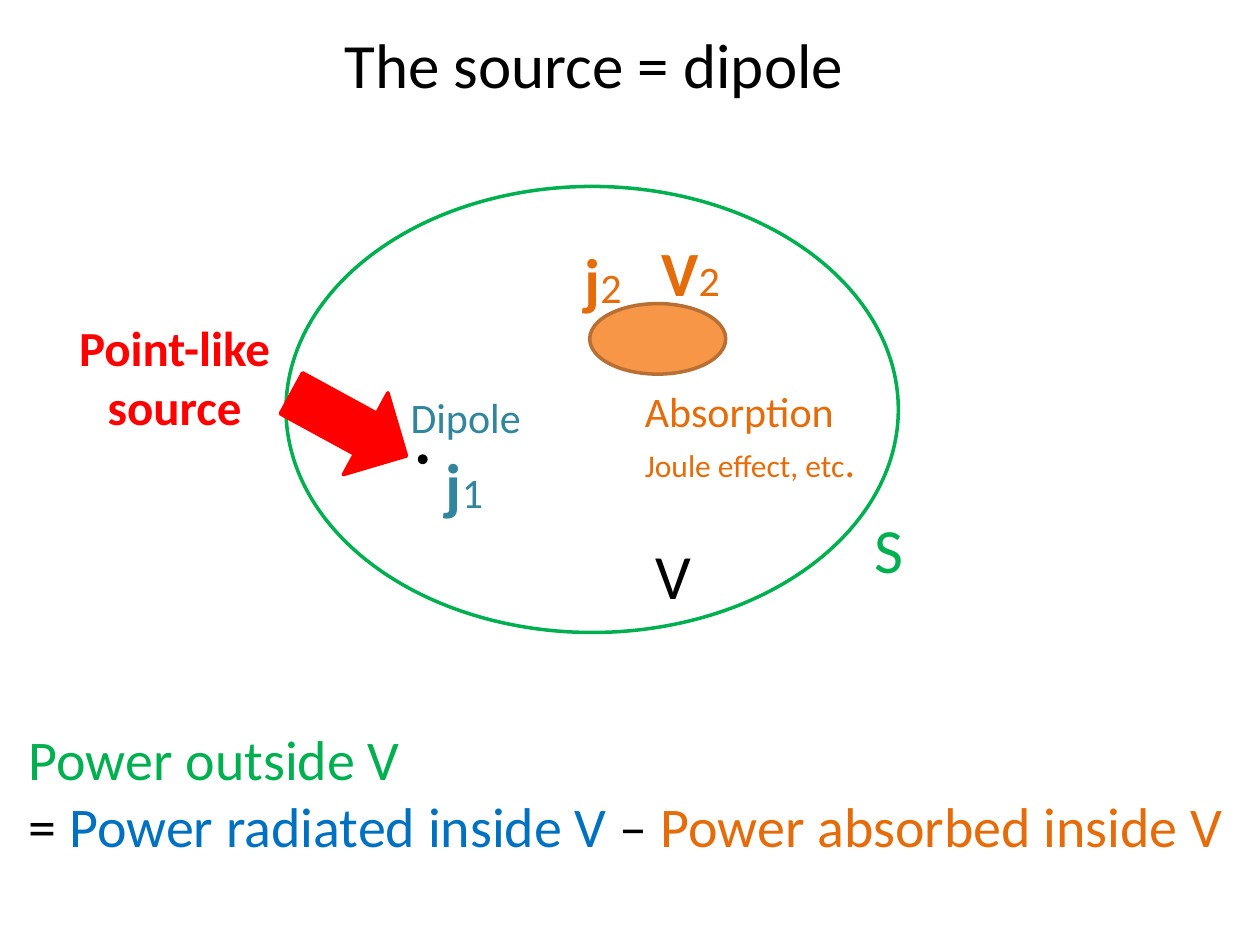
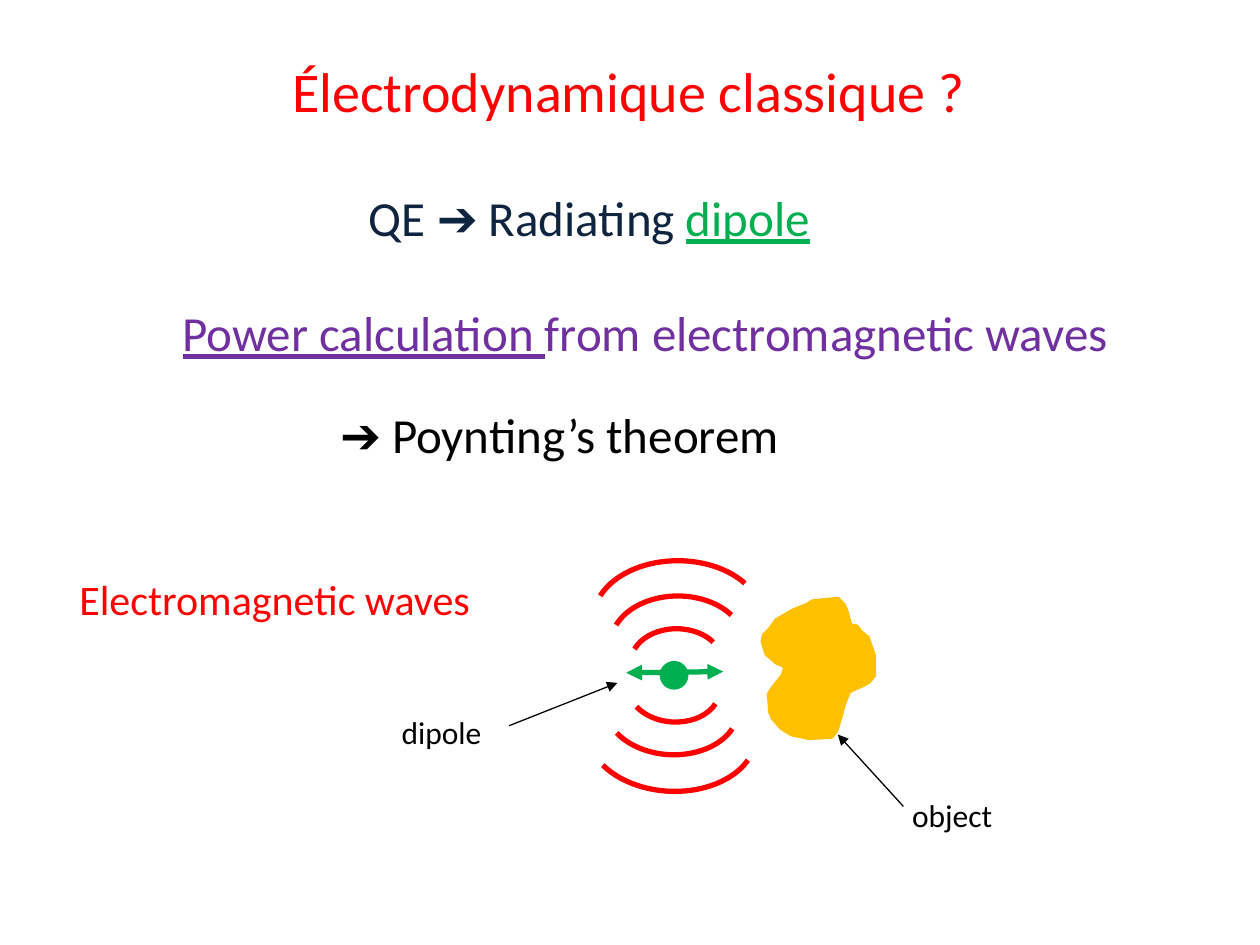
"""Build two slides on dipole sources and the power they radiate."""
import pptx
import pptx.util
import pptx.dml.color
import pptx.enum.shapes
import pptx.enum.text
import pptx.oxml

PX = 9144
FONT = "Calibri"
INK = {
    "black": "000000", "red": "FF0000", "green": "00B050", "blue": "0070C0",
    "orange": "E46C0A", "peach": "F79646", "brown": "B76F34", "teal": "31859C",
    "navy": "0F243E", "violet": "7030A0", "gold": "FFC000",
}
KIND = pptx.enum.shapes.MSO_SHAPE
ALIGN = pptx.enum.text.PP_ALIGN
Pt = pptx.util.Pt
rgb = pptx.dml.color.RGBColor.from_string


def write(slide, box, lines, align=ALIGN.LEFT, wrap=True, title=False):
    """Fill a text box or the title with lines of (text, size, colour, style) runs."""
    left, top, width, height = [n * PX for n in box]
    if title:
        shape = slide.shapes.title
        shape.left, shape.top, shape.width, shape.height = left, top, width, height
    else:
        shape = slide.shapes.add_textbox(left, top, width, height)
    frame = shape.text_frame
    frame.word_wrap = wrap
    frame.auto_size = pptx.enum.text.MSO_AUTO_SIZE.SHAPE_TO_FIT_TEXT
    frame.vertical_anchor = pptx.enum.text.MSO_ANCHOR.TOP
    for i, line in enumerate(lines):
        para = frame.add_paragraph() if i else frame.paragraphs[0]
        para.alignment = align
        for text, size, ink, style in line:
            run = para.add_run()
            run.text = text
            run.font.name = FONT
            run.font.size = Pt(size)
            run.font.color.rgb = rgb(INK[ink])
            run.font.bold = style == "b"
            run.font.underline = style == "u"


def paint(shape, fill, line, width=2):
    """Give a shape its fill and outline, without shadow."""
    shape.shadow.inherit = False
    if fill:
        shape.fill.solid()
        shape.fill.fore_color.rgb = rgb(INK[fill])
    else:
        shape.fill.background()
    shape.line.color.rgb = rgb(INK[line])
    shape.line.width = Pt(width)


deck = pptx.Presentation()
deck.slide_width, deck.slide_height = 1000 * PX, 750 * PX
plain = deck.slide_layouts[5]

source = deck.slides.add_slide(plain)
write(source, (25, 15, 904, 71), [[("The source = dipole ", 36, "black", "")]],
      ALIGN.CENTER, title=True)

for kind, box, fill, line, turn in [
    (KIND.OVAL, (227, 148, 486, 354), None, "green", 0),
    (KIND.OVAL, (468, 241, 108, 56), "peach", "brown", 0),
    (KIND.OVAL, (333, 362, 5, 5), "black", "black", 0),
    (KIND.DOWN_ARROW, (240, 285, 74, 104), "red", "red", 298.6),
]:
    shape = source.shapes.add_shape(kind, *[n * PX for n in box])
    shape.rotation = turn
    paint(shape, fill, line)

for box, name, index, ink in [
    ((454, 186, 50, 71), "j", "2", "orange"),
    ((515, 180, 67, 71), "V", "2", "orange"),
    ((344, 349, 50, 71), "j", "1", "teal"),
]:
    write(source, box, [[(name, 36, ink, "b"), (index, 24, ink, "")]], wrap=False)

write(source, (684, 400, 66, 71), [[("S", 36, "green", "")]])
write(source, (510, 421, 49, 71), [[("V", 36, "black", "")]], wrap=False)
write(source, (316, 306, 109, 50), [[("Dipole", 24, "teal", "")]], wrap=False)
write(source, (502, 301, 190, 91), [
    [("Absorption", 24, "orange", "")],
    [("Joule effect, etc", 18, "orange", ""), (".", 24, "orange", "")],
], wrap=False)
write(source, (50, 247, 177, 104), [[("Point-like source", 28, "red", "b")]],
      ALIGN.CENTER)
write(source, (13, 570, 977, 118), [
    [("Power outside V", 32, "green", "")],
    [("= ", 32, "black", ""), ("Power radiated inside V ", 32, "blue", ""),
     ("– ", 32, "black", ""), ("Power absorbed inside V", 32, "orange", "")],
], wrap=False)

waves = deck.slides.add_slide(plain)
write(waves, (222, 40, 570, 64), [[("Électrodynamique classique ?", 32, "red", "")]],
      wrap=False, title=True)
write(waves, (283, 144, 409, 57),
      [[("QE ➔ Radiating ", 28, "navy", ""), ("dipole", 28, "green", "u")]])
write(waves, (135, 235, 805, 57),
      [[("Power calculation ", 28, "violet", "u"),
        ("from electromagnetic waves", 28, "violet", "")]])
write(waves, (260, 316, 428, 57), [[("➔ Poynting’s theorem", 28, "black", "")]])
write(waves, (30, 450, 376, 50), [[("Electromagnetic waves", 24, "red", "")]],
      ALIGN.CENTER)
write(waves, (267, 561, 167, 40), [[("dipole", 18, "black", "")]], ALIGN.CENTER)
write(waves, (714, 627, 167, 40), [[("object", 18, "black", "")]])

dot = waves.shapes.add_shape(KIND.OVAL, *[n * PX for n in (525, 526, 20, 20)])
paint(dot, "green", "green")

edge = [
    (630, 484), (616, 492), (611, 499), (606, 504), (605, 509), (608, 519),
    (616, 526), (623, 529), (621, 536), (613, 546), (610, 551), (611, 565),
    (613, 570), (620, 578), (628, 583), (642, 586), (660, 585), (664, 580),
    (667, 570), (670, 559), (674, 549), (680, 546), (685, 544), (690, 541),
    (694, 536), (694, 521), (689, 506), (684, 502), (680, 497), (675, 496),
    (672, 485), (670, 480), (665, 475), (645, 477), (640, 480),
]
outline = waves.shapes.build_freeform(*edge[0], scale=PX)
outline.add_line_segments(edge[1:], close=True)
paint(outline.convert_to_shape(), "gold", "gold")

for ends, ink, width, heads in [
    ((497, 534, 574, 533), "green", 3, ("headEnd", "tailEnd")),
    ((717, 640, 665, 583), "black", 0.75, ("tailEnd",)),
    ((404, 576, 490, 542), "black", 0.75, ("tailEnd",)),
]:
    link = waves.shapes.add_connector(
        pptx.enum.shapes.MSO_CONNECTOR.STRAIGHT, *[n * PX for n in ends])
    link.line.color.rgb = rgb(INK[ink])
    link.line.width = Pt(width)
    props = link.line._get_or_add_ln()
    for head in heads:
        tip = pptx.oxml.ns.qn("a:" + head)
        props.append(props.makeelement(tip, {"type": "triangle"}))
    none = pptx.oxml.ns.qn("a:effectLst")
    props.addnext(props.makeelement(none, {}))

for left, top, width, height, turn in [
    (501, 499, 72, 52, 0), (485, 473, 106, 75, 0), (471, 445, 134, 92, 0),
    (499, 521, 72, 52, 182.9), (480, 524, 106, 75, 182.9), (466, 536, 134, 92, 182.9),
]:
    arc = waves.shapes.add_shape(KIND.ARC, left * PX, top * PX, width * PX, height * PX)
    arc.adjustments[0], arc.adjustments[1] = 117.86, 199.35
    arc.rotation = turn
    paint(arc, None, "red", 3)

deck.save("out.pptx")
